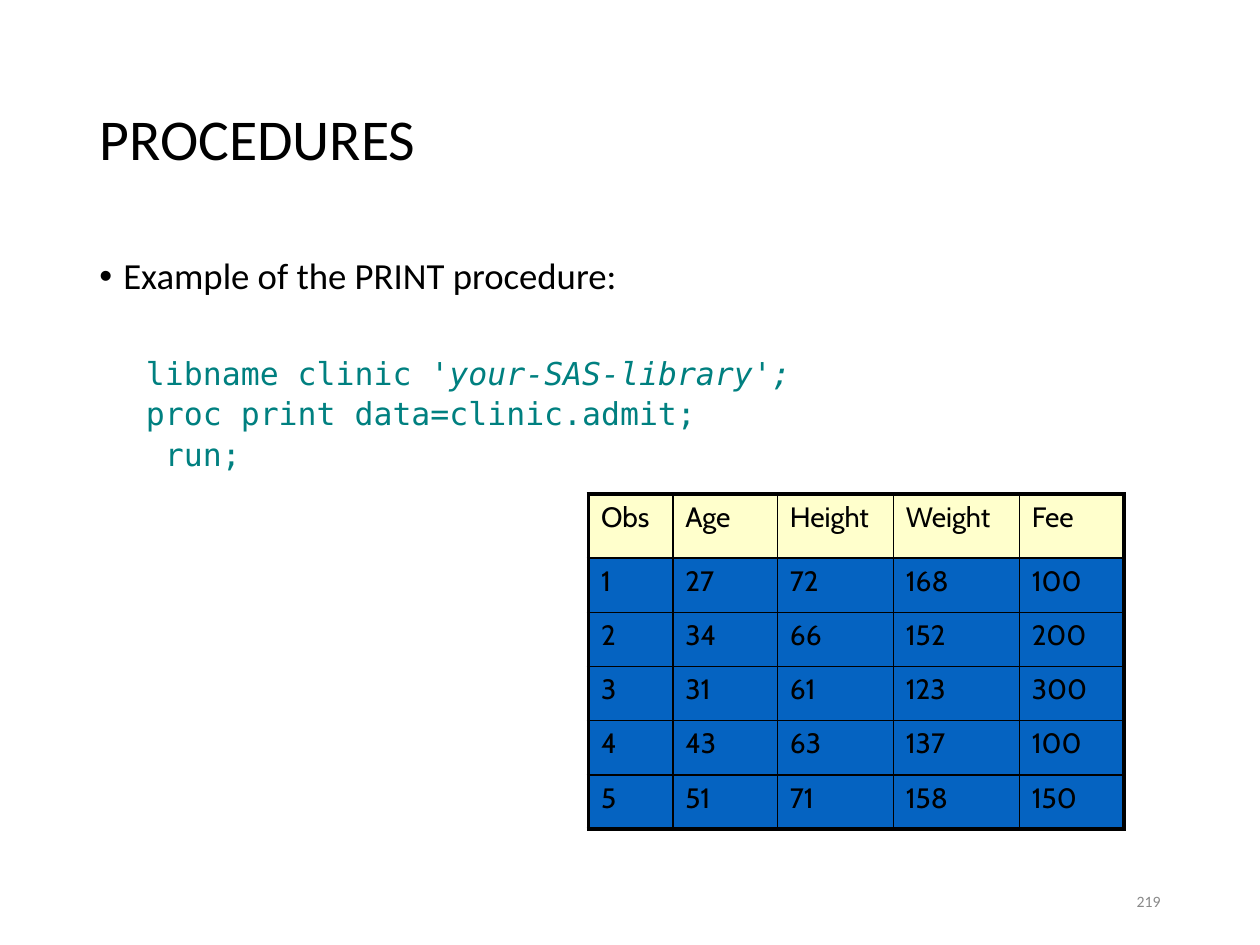
from lxml import etree
from pptx import Presentation
from pptx.dml.color import RGBColor
from pptx.enum.text import MSO_ANCHOR, PP_ALIGN
from pptx.oxml.ns import qn
from pptx.util import Inches, Pt

COLORS = {"black": "000000", "code": "008080", "number": "898989",
          "header": "FFFFCC", "body": "0563C1"}


def style(font, name, size, color):
    font.name, font.size = name, Pt(size)
    font.color.rgb = RGBColor.from_string(COLORS[color])


def add_border(cell, side, width):
    line = etree.SubElement(cell._tc.get_or_add_tcPr(), qn(f"a:ln{side}"), w=str(Pt(width)))
    fill = etree.SubElement(line, qn("a:solidFill"))
    etree.SubElement(fill, qn("a:srgbClr"), val=COLORS["black"])


deck = Presentation()
deck.slide_width, deck.slide_height = Inches(10), Inches(7.5)
page = deck.slides.add_slide(deck.slide_layouts[5])

# Title
title = page.shapes.title
title.left, title.top = Inches(0.69), Inches(0.4)
title.width, title.height = Inches(8.62), Inches(1.45)
title.text_frame.text = "PROCEDURES"
title.text_frame.vertical_anchor = MSO_ANCHOR.MIDDLE
para = title.text_frame.paragraphs[0]
para.alignment, para.line_spacing = PP_ALIGN.LEFT, 0.9
style(para.font, "Calibri", 33, "black")

# Bullet line
box = page.shapes.add_textbox(Inches(0.69), Inches(2), Inches(8.62), Inches(4.76))
frame = box.text_frame
frame.word_wrap = True
para = frame.paragraphs[0]
para.text = "Example of the PRINT procedure:"
para.line_spacing = 0.9
props = para._p.get_or_add_pPr()
props.set("marL", str(Inches(0.19)))
props.set("indent", str(Inches(-0.19)))
etree.SubElement(props, qn("a:buFont"), typeface="Arial")
etree.SubElement(props, qn("a:buChar"), char="•")
style(para.font, "Calibri", 21, "black")

# Code lines: (plain part, italic part, space before)
code = [
    ("libname clinic ", "'your-SAS-library';", 34.4),
    ("proc print data=clinic.admit;", "", 3.8),
    (" run;", "", 3.8),
]
for plain, italic, gap in code:
    para = frame.add_paragraph()
    para.line_spacing, para.space_before = 0.9, Pt(gap)
    para._p.get_or_add_pPr().set("marL", str(Inches(0.37)))
    style(para.font, "DejaVu Sans Mono", 18, "code")
    para.add_run().text = plain
    if italic:
        span = para.add_run()
        span.text = italic
        span.font.italic = True

# Table of admissions
rows = [
    ("Obs", "Age", "Height", "Weight", "Fee"),
    (1, 27, 72, 168, 100),
    (2, 34, 66, 152, 200),
    (3, 31, 61, 123, 300),
    (4, 43, 63, 137, 100),
    (5, 51, 71, 158, 150),
]
widths = [0.67, 0.83, 0.92, 1, 0.83]
last_row, last_column = len(rows) - 1, len(widths) - 1
table = page.shapes.add_table(len(rows), len(widths), Inches(4.67), Inches(3.92),
                              Inches(4.25), Inches(2.67)).table
table.first_row = table.horz_banding = False
for column, width in zip(table.columns, widths):
    column.width = Inches(width)
for r, values in enumerate(rows):
    table.rows[r].height = Inches(0.43 if r else 0.51)
    for c, value in enumerate(values):
        cell = table.cell(r, c)
        cell.text = str(value)
        style(cell.text_frame.paragraphs[0].font, "Cabin", 16, "black")
        # Thick outer frame, thin inner grid
        outer = {"L": c == 0, "R": c == last_column, "T": r == 0, "B": r == last_row}
        for side, is_outer in outer.items():
            add_border(cell, side, 2.25 if is_outer else 1)
        cell.fill.solid()
        cell.fill.fore_color.rgb = RGBColor.from_string(COLORS["body" if r else "header"])

# Slide number
number = page.shapes.add_textbox(Inches(7.06), Inches(6.95), Inches(2.25), Inches(0.4))
number.text_frame.word_wrap = True
number.text_frame.vertical_anchor = MSO_ANCHOR.MIDDLE
para = number.text_frame.paragraphs[0]
para.text = "219"
para.alignment = PP_ALIGN.RIGHT
style(para.font, "Calibri", 9, "number")

deck.save("out.pptx")
